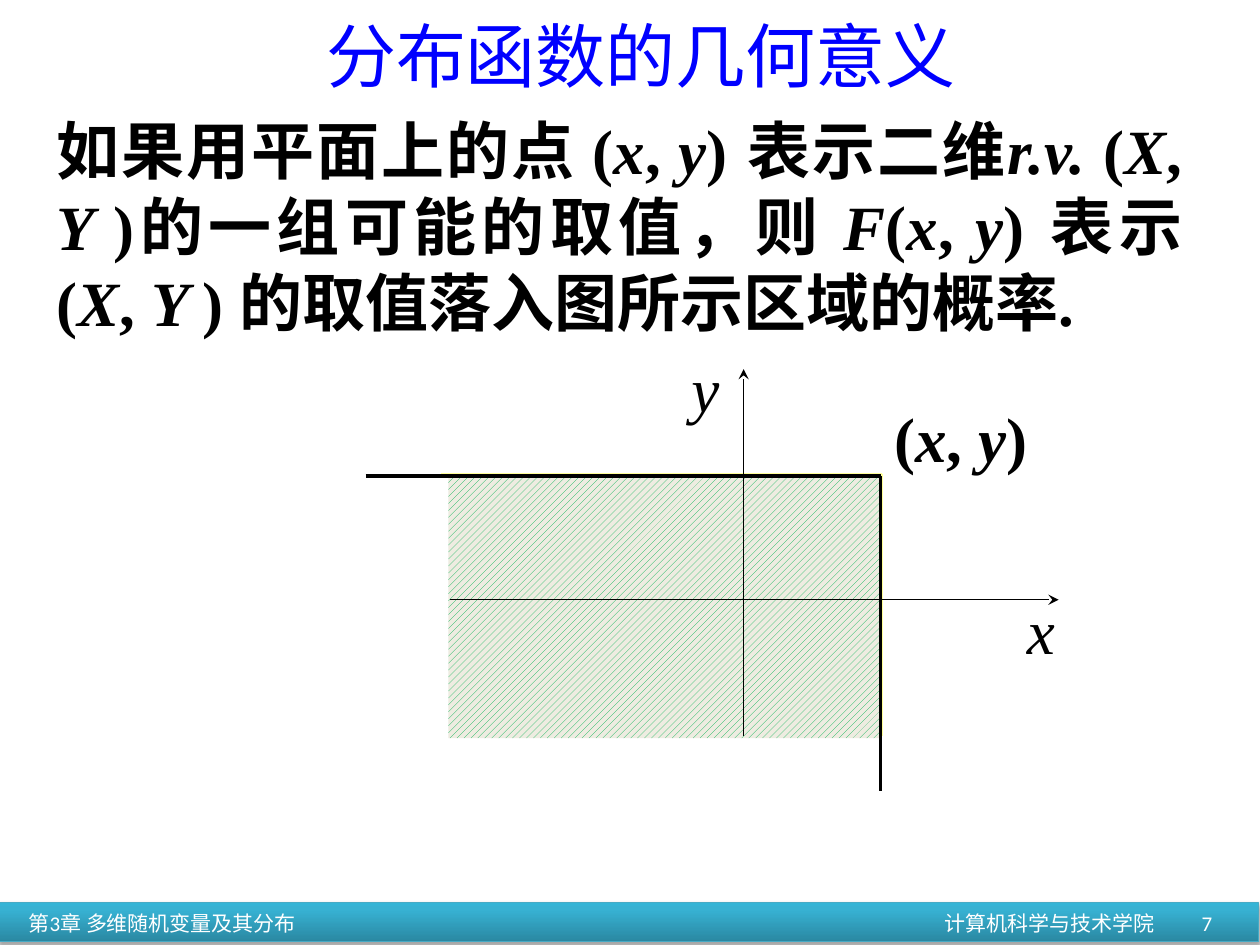
from copy import deepcopy
from dataclasses import dataclass

from lxml import etree
from pptx import Presentation
from pptx.dml.color import RGBColor
from pptx.enum.dml import MSO_PATTERN
from pptx.enum.shapes import MSO_CONNECTOR, MSO_SHAPE
from pptx.enum.text import MSO_ANCHOR, PP_ALIGN
from pptx.oxml.ns import qn
from pptx.util import Cm, Pt

LEFT, RIGHT, JUSTIFY = PP_ALIGN.LEFT, PP_ALIGN.RIGHT, PP_ALIGN.JUSTIFY
TOP, MIDDLE = MSO_ANCHOR.TOP, MSO_ANCHOR.MIDDLE
RECTANGLE = MSO_SHAPE.RECTANGLE
STRAIGHT = MSO_CONNECTOR.STRAIGHT
HATCH = MSO_PATTERN.WIDE_UPWARD_DIAGONAL

BLACK = RGBColor(0x00, 0x00, 0x00)
WHITE = RGBColor(0xFF, 0xFF, 0xFF)
BLUE = RGBColor(0x00, 0x00, 0xFF)
GREEN = RGBColor(0x00, 0xB0, 0x50)
CREAM = RGBColor(0xEE, 0xEC, 0xE1)
YELLOW = RGBColor(0xFF, 0xFF, 0x99)
BAR_LINE = RGBColor(0x46, 0xAA, 0xC5)
BAR_STOPS = [
    (0, RGBColor(0x2A, 0x88, 0xA2)),
    (0.8, RGBColor(0x37, 0xB1, 0xD2)),
    (1, RGBColor(0x34, 0xB4, 0xD6)),
]
SERIF, SANS = "Times New Roman", "Calibri"

# Corner of the region and origin of the axes, in cm
CORNER_X, CORNER_Y = 17.75, 9.6
ORIGIN_X, ORIGIN_Y = 14.99, 12.09


@dataclass
class Label:
    """Text at a place in cm; parts between asterisks are italic."""
    text: str
    left: float
    top: float
    width: float
    height: float
    size: float = 36
    font: str = SERIF
    color: RGBColor = BLACK
    bold: bool = False
    align: PP_ALIGN = LEFT
    anchor: MSO_ANCHOR = TOP
    wrap: bool = False


@dataclass
class Line:
    x1: float
    y1: float
    x2: float
    y2: float
    color: RGBColor = BLACK
    width: float = 0.75
    arrow: bool = False


TITLE = Label("分布函数的几何意义", 6.32, 0.13, 13.21, 1.96, size=40, color=BLUE)
LABELS = [
    Label("如果用平面上的点 (*x*, *y*) 表示二维*r.v. *(*X*, *Y *)的一组可能的取值，则 "
          "*F*(*x*, *y*) 表示 (*X*, *Y *) 的取值落入图所示区域的概率.",
          0.89, 2.13, 23.19, 4.88, bold=True, align=JUSTIFY, wrap=True),
    Label("(*x*, *y*)", 17.78, 7.92, 3.2, 1.78, bold=True),
    Label("*x*", 20.45, 11.79, 1.07, 1.78),
    Label("*y*", 13.69, 6.93, 1.07, 1.78),
]
FOOTER = [
    Label("第3章 多维随机变量及其分布", 0.33, 18.14, 8, 0.94),
    Label("计算机科学与技术学院", 17.52, 18.14, 6, 0.94, align=RIGHT),
    Label("7", 18.77, 18.14, 5.92, 0.94, align=RIGHT),
]
LINES = [
    Line(17.78, 9.55, 8.89, 9.55, YELLOW),
    Line(17.78, 9.55, 17.78, 14.83, YELLOW),
    Line(9.07, ORIGIN_Y, 21.34, ORIGIN_Y, arrow=True),
    Line(ORIGIN_X, 14.83, ORIGIN_X, 7.44, arrow=True),
    Line(7.37, CORNER_Y, CORNER_X, CORNER_Y, width=2.25),
    Line(CORNER_X, CORNER_Y, CORNER_X, 15.95, width=2.25),
]


def fill_text(sp, label: Label) -> None:
    tf = sp.text_frame
    tf.word_wrap = label.wrap
    tf.vertical_anchor = label.anchor
    p = tf.paragraphs[0]
    p.alignment = label.align
    for i, part in enumerate(label.text.split("*")):
        if part:
            r = p.add_run()
            r.text = part
            r.font.name = label.font
            r.font.size = Pt(label.size)
            r.font.bold = label.bold
            r.font.italic = i % 2 == 1
            r.font.color.rgb = label.color


def add_label(s, label: Label) -> None:
    sp = s.shapes.add_textbox(Cm(label.left), Cm(label.top),
                              Cm(label.width), Cm(label.height))
    fill_text(sp, label)


def add_line(s, line: Line) -> None:
    sp = s.shapes.add_connector(STRAIGHT, Cm(line.x1), Cm(line.y1),
                                Cm(line.x2), Cm(line.y2))
    sp.line.color.rgb = line.color
    sp.line.width = Pt(line.width)
    if line.arrow:
        etree.SubElement(sp.line._get_or_add_ln(), qn("a:tailEnd"), type="stealth")
    etree.SubElement(sp._element.spPr, qn("a:effectLst"))


def add_footer_bar(s) -> None:
    sp = s.shapes.add_shape(RECTANGLE, Cm(-0.03), Cm(18.19), Cm(25.4), Cm(0.79))
    sp.fill.gradient()
    sp.fill.gradient_angle = 90
    stop_list = sp._element.spPr.find(".//" + qn("a:gsLst"))
    stop_list.append(deepcopy(stop_list[-1]))
    for stop, (position, color) in zip(sp.fill.gradient_stops, BAR_STOPS):
        stop.position = position
        stop.color.rgb = color
    sp.line.color.rgb = BAR_LINE
    sp.line.width = Pt(0.75)
    sp.shadow.inherit = False
    effects = sp._element.spPr.find(qn("a:effectLst"))
    shadow = etree.SubElement(effects, qn("a:outerShdw"), blurRad=str(Pt(3.1)),
                              dist=str(Pt(1.8)), dir="5400000", rotWithShape="0")
    color = etree.SubElement(shadow, qn("a:srgbClr"), val=str(BLACK))
    etree.SubElement(color, qn("a:alpha"), val="35000")


def add_region(s) -> None:
    """Add the hatched area below and left of the corner point."""
    sp = s.shapes.add_shape(RECTANGLE, Cm(9.04), Cm(CORNER_Y), Cm(8.69), Cm(5.28))
    sp.fill.patterned()
    sp.fill.pattern = HATCH
    sp.fill.fore_color.rgb = GREEN
    sp.fill.back_color.rgb = CREAM
    sp.line.fill.background()
    sp.shadow.inherit = False


def main() -> None:
    prs = Presentation()
    prs.slide_width, prs.slide_height = Cm(25.4), Cm(19.05)
    s = prs.slides.add_slide(prs.slide_layouts[5])

    title = s.shapes.title
    title.left, title.top = Cm(TITLE.left), Cm(TITLE.top)
    title.width, title.height = Cm(TITLE.width), Cm(TITLE.height)
    fill_text(title, TITLE)

    add_footer_bar(s)
    for label in FOOTER:
        label.size, label.font, label.color = 12, SANS, WHITE
        label.anchor = MIDDLE
        label.wrap = True
        add_label(s, label)

    add_region(s)
    for line in LINES:
        add_line(s, line)
    for label in LABELS:
        add_label(s, label)
    prs.save("out.pptx")


if __name__ == "__main__":
    main()
